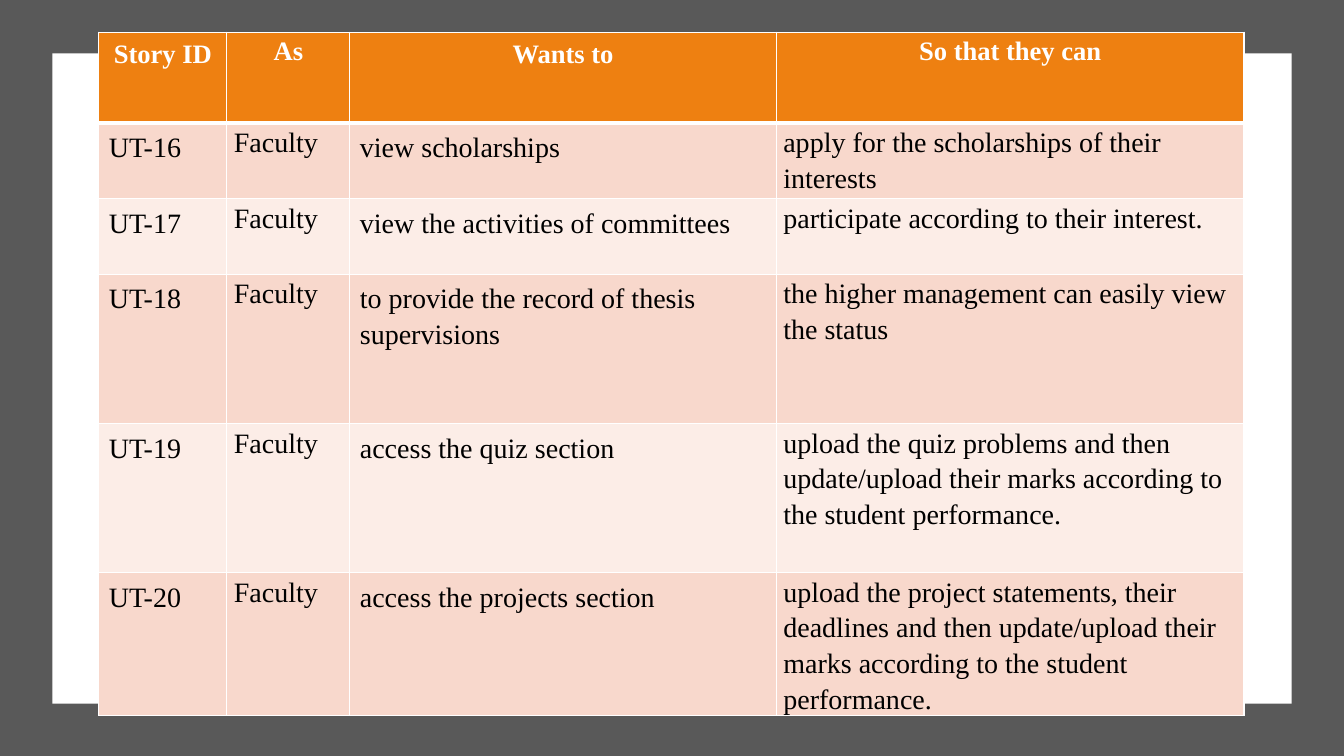
from dataclasses import dataclass

import lxml.etree
import pptx
import pptx.dml.color
import pptx.enum.shapes
import pptx.enum.text
import pptx.oxml.ns
import pptx.slide
import pptx.table
import pptx.util

Inches = pptx.util.Inches


@dataclass(frozen=True)
class Theme:
    font: str = "Times New Roman"
    header_size: int = 19
    body_size: int = 20
    backdrop: str = "595959"
    white: str = "FFFFFF"
    text: str = "000000"
    header_fill: str = "EE8011"
    band_fills: tuple[str, str] = ("F8D8CC", "FCEDE7")
    thin_border: int = 1
    header_border: int = 3


@dataclass(frozen=True)
class Panel:
    left: float
    top: float
    width: float
    height: float
    color: str


@dataclass(frozen=True)
class Story:
    number: int
    wants_to: str
    so_that: str
    height: float

    def texts(self) -> tuple[str, ...]:
        return f"UT-{self.number}", "Faculty", self.wants_to, self.so_that


THEME = Theme()
PANELS = (
    Panel(0, 0, 13.33, 7.5, THEME.backdrop),
    Panel(0.52, 0.53, 12.29, 6.45, THEME.white),
)
TABLE_LEFT, TABLE_TOP = 0.98, 0.32
HEADINGS = ("Story ID", "As", "Wants to", "So that they can")
HEADER_HEIGHT = 0.9
COLUMN_WIDTHS = (1.27, 1.22, 4.23, 4.64)
# Horizontal and vertical margins; columns alternate between the two pairs.
HEADER_MARGINS = ((0.06, 0.03), (0.04, 0))
BODY_MARGINS = ((0.1, 0.05), (0.07, 0))
STORIES = (
    Story(16, "view scholarships", "apply for the scholarships of their interests", 0.75),
    Story(17, "view the activities of committees",
          "participate according to their interest.", 0.75),
    Story(18, "to provide the record of thesis supervisions",
          "the higher management can easily view the status", 1.48),
    Story(19, "access the quiz section",
          "upload the quiz problems and then update/upload their marks "
          "according to the student performance.", 1.48),
    Story(20, "access the projects section",
          "upload the project statements, their deadlines and then update/upload "
          "their marks according to the student performance.", 1.42),
)


def rgb(color: str) -> pptx.dml.color.RGBColor:
    return pptx.dml.color.RGBColor.from_string(color)


def add_panel(slide: pptx.slide.Slide, panel: Panel) -> None:
    shape = slide.shapes.add_shape(
        pptx.enum.shapes.MSO_SHAPE.RECTANGLE,
        Inches(panel.left), Inches(panel.top), Inches(panel.width), Inches(panel.height),
    )
    shape.shadow.inherit = False
    shape.fill.solid()
    shape.fill.fore_color.rgb = rgb(panel.color)
    shape.line.fill.background()


def set_borders(cell: pptx.table._Cell, top: int, bottom: int) -> None:
    """Draw white borders; the line elements must come before the cell's fill."""
    properties = cell._tc.get_or_add_tcPr()
    widths = {"lnL": THEME.thin_border, "lnR": THEME.thin_border, "lnT": top, "lnB": bottom}
    for position, (side, width) in enumerate(widths.items()):
        line = lxml.etree.Element(pptx.oxml.ns.qn(f"a:{side}"), w=str(pptx.util.Pt(width)))
        fill = lxml.etree.SubElement(line, pptx.oxml.ns.qn("a:solidFill"))
        lxml.etree.SubElement(fill, pptx.oxml.ns.qn("a:srgbClr"), val=THEME.white)
        properties.insert(position, line)


def fill_cell(cell: pptx.table._Cell, text: str, row: int, column: int) -> None:
    is_header = row == 0
    margins = HEADER_MARGINS if is_header else BODY_MARGINS
    horizontal, vertical = margins[column % 2]
    cell.margin_left = cell.margin_right = Inches(horizontal)
    cell.margin_top = cell.margin_bottom = Inches(vertical)
    cell.fill.solid()
    cell.fill.fore_color.rgb = rgb(
        THEME.header_fill if is_header else THEME.band_fills[(row - 1) % 2])
    set_borders(
        cell,
        top=THEME.header_border if row == 1 else THEME.thin_border,
        bottom=THEME.header_border if is_header else THEME.thin_border,
    )
    cell.text = text
    paragraph = cell.text_frame.paragraphs[0]
    paragraph.alignment = (
        pptx.enum.text.PP_ALIGN.CENTER if is_header else pptx.enum.text.PP_ALIGN.LEFT)
    paragraph.line_spacing = 1.15
    paragraph.space_after = pptx.util.Pt(8)
    paragraph.font.name = THEME.font
    paragraph.font.size = pptx.util.Pt(THEME.header_size if is_header else THEME.body_size)
    paragraph.font.bold = is_header
    paragraph.font.color.rgb = rgb(THEME.white if is_header else THEME.text)


def add_story_table(slide: pptx.slide.Slide) -> None:
    rows = [HEADINGS, *(story.texts() for story in STORIES)]
    heights = [HEADER_HEIGHT, *(story.height for story in STORIES)]
    table = slide.shapes.add_table(
        len(rows), len(HEADINGS), Inches(TABLE_LEFT), Inches(TABLE_TOP),
        Inches(sum(COLUMN_WIDTHS)), Inches(sum(heights)),
    ).table
    for column, width in zip(table.columns, COLUMN_WIDTHS):
        column.width = Inches(width)
    for row_index, (texts, height) in enumerate(zip(rows, heights)):
        table.rows[row_index].height = Inches(height)
        for column_index, text in enumerate(texts):
            fill_cell(table.cell(row_index, column_index), text, row_index, column_index)


def main() -> None:
    presentation = pptx.Presentation()
    presentation.slide_width = Inches(13.33)
    presentation.slide_height = Inches(7.5)
    slide = presentation.slides.add_slide(presentation.slide_layouts[6])
    for panel in PANELS:
        add_panel(slide, panel)
    add_story_table(slide)
    presentation.save("out.pptx")


if __name__ == "__main__":
    main()
